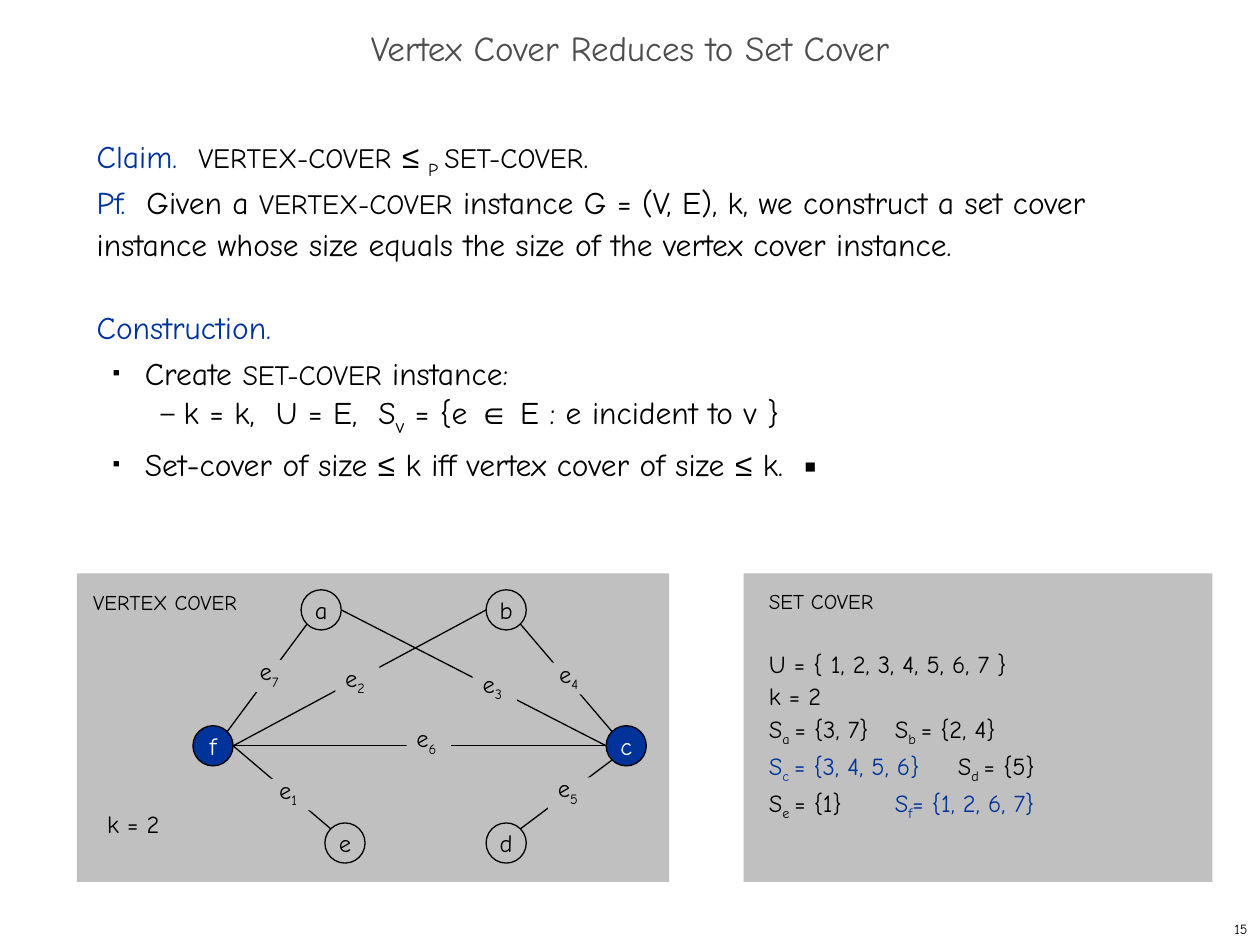
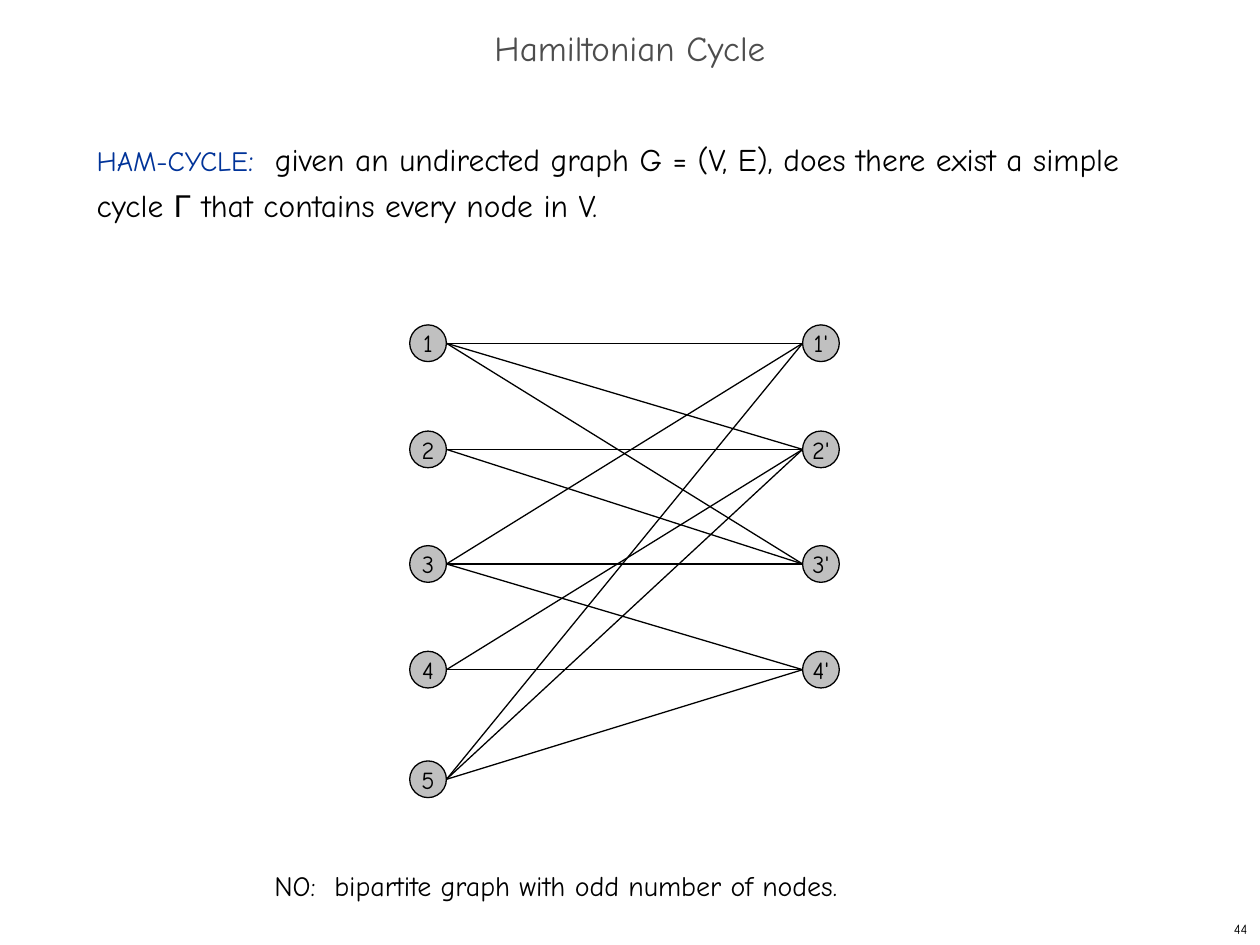
"""Two lecture slides on the set cover reduction and the Hamiltonian cycle problem."""
from lxml import etree
from pptx import Presentation
from pptx import util as u
from pptx.dml.color import RGBColor
from pptx.enum import shapes, text
from pptx.oxml import ns

BLUE = RGBColor(0x00, 0x33, 0x99)
BLACK = RGBColor(0x00, 0x00, 0x00)
WHITE = RGBColor(0xFF, 0xFF, 0xFF)
GRAY = RGBColor(0xC0, 0xC0, 0xC0)
TITLE_GRAY = RGBColor(0x4D, 0x4D, 0x4D)
FONT = "Comic Neue"

CAPS = {"size": 16}
SUB = {"sub": True}
MATH = {"font": "Arial"}
KEY = {"color": BLUE}
SQUARE = {"char": "■", "percent": 35, "level": 1, "margin": 0.97, "hang": 0.64}
DASH = {"char": "–", "percent": 80, "level": 2, "margin": 1.75, "hang": 0.46}


def write(shape, runs, size=18, color=BLACK, align=text.PP_ALIGN.LEFT,
          anchor=text.MSO_ANCHOR.TOP, wrap=True, inset=(0.25, 0.13, 0.25, 0.13),
          spacing=1.0, before=0, bullet=None, tab=None):
    """Append one paragraph of text, given as a string or as (text, format) runs."""
    frame = shape.text_frame
    frame.auto_size = text.MSO_AUTO_SIZE.NONE
    frame.word_wrap = wrap
    frame.vertical_anchor = anchor
    (frame.margin_left, frame.margin_top,
     frame.margin_right, frame.margin_bottom) = map(u.Cm, inset)
    paragraph = frame.add_paragraph() if frame.text else frame.paragraphs[0]
    props = paragraph._p.get_or_add_pPr()
    if bullet:
        paragraph.level = bullet["level"]
        props.set("marL", str(u.Cm(bullet["margin"])))
        props.set("indent", str(-u.Cm(bullet["hang"])))
        tint = etree.SubElement(props, ns.qn("a:buClr"))
        etree.SubElement(tint, ns.qn("a:srgbClr"), val=str(BLACK))
        etree.SubElement(props, ns.qn("a:buSzPct"), val=str(bullet["percent"] * 1000))
        etree.SubElement(props, ns.qn("a:buFont"), typeface="Arial")
        etree.SubElement(props, ns.qn("a:buChar"), char=bullet["char"])
    else:
        props.set("marL", "0")
        props.set("indent", "0")
        etree.SubElement(props, ns.qn("a:buNone"))
    if tab:
        stops = etree.SubElement(props, ns.qn("a:tabLst"))
        etree.SubElement(stops, ns.qn("a:tab"), pos=str(u.Cm(tab)), algn="l")
    paragraph.alignment = align
    paragraph.line_spacing = spacing
    paragraph.space_before = u.Pt(before)
    paragraph.space_after = u.Pt(0)
    for words, style in [(runs, {})] if isinstance(runs, str) else runs:
        run = paragraph.add_run()
        run.text = words
        run.font.name = style.get("font", FONT)
        run.font.size = u.Pt(style.get("size", size))
        run.font.color.rgb = style.get("color", color)
        if style.get("sub"):
            run._r.get_or_add_rPr().set("baseline", "-25000")


def draw(slide, preset, box, fill=GRAY, outlined=False):
    """Add a flat preset shape at a box given in centimetres."""
    shape = slide.shapes.add_shape(preset, *map(u.Cm, box))
    shape.shadow.inherit = False
    shape.fill.solid()
    shape.fill.fore_color.rgb = fill
    if outlined:
        shape.line.color.rgb = BLACK
        shape.line.width = u.Pt(0.75)
    else:
        shape.line.fill.background()
    return shape


RECT = shapes.MSO_SHAPE.RECTANGLE
OVAL = shapes.MSO_SHAPE.OVAL
CENTER = text.PP_ALIGN.CENTER
MIDDLE = text.MSO_ANCHOR.MIDDLE
EXACT = u.Pt(26)

prs = Presentation()
prs.slide_width, prs.slide_height = u.Cm(25.4), u.Cm(19.05)

reduction_body = [
    ([("Claim.  ", KEY), ("VERTEX-COVER", CAPS), (" ", {}), ("≤ ", MATH), ("P ", SUB),
      ("SET-COVER", CAPS), (".", {})], {"spacing": 1.1}),
    ([("Pf.  ", KEY), ("Given a ", {}), ("VERTEX-COVER", CAPS),
      (" instance G = (V, E), k, we construct a set cover instance whose size "
       "equals the size of the vertex cover instance.", {})], {"spacing": 1.1}),
    ([("Construction.", KEY)], {"spacing": 1.1, "before": 23.8}),
    ([("Create ", {}), ("SET-COVER", CAPS), (" instance:", {})],
     {"spacing": EXACT, "bullet": SQUARE}),
    ([("k = k,  U = E,  S", {}), ("v", {"size": 20, "sub": True}), (" = {e ", {}),
      ("∈", MATH), (" E : e incident to v }", {})], {"spacing": EXACT, "bullet": DASH}),
    ([("Set-cover of size ", {}), ("≤", MATH), (" k iff vertex cover of size ", {}),
      ("≤", MATH), (" k.  ▪", {})], {"spacing": EXACT, "bullet": SQUARE}),
]
cycle_body = [
    ([("HAM-CYCLE", {"size": 16, "color": BLUE}), (":  ", KEY),
      ("given an undirected graph G = (V, E), does there exist a simple cycle ", {}),
      ("Γ", MATH), (" that contains every node in V.", {})], {"spacing": EXACT}),
]

slides = []
for heading, body, number in [
    ("Vertex Cover Reduces to Set Cover", reduction_body, "15"),
    ("Hamiltonian Cycle", cycle_body, "44"),
]:
    slide = prs.slides.add_slide(prs.slide_layouts[1])
    slides.append(slide)
    title, content = slide.placeholders
    for holder, box in [(title, (0, 0.43, 25.4, 1.27)),
                        (content, (1.7, 2.54, 21.79, 15.04))]:
        holder.left, holder.top, holder.width, holder.height = map(u.Cm, box)
    write(title, heading, size=20, color=TITLE_GRAY, align=CENTER,
          anchor=MIDDLE, spacing=0.7)
    for runs, style in body:
        write(content, runs, **style)
    page = slide.shapes.add_textbox(u.Cm(20.12), u.Cm(18.42), u.Cm(5.28), u.Cm(0.63))
    write(page, number, size=8, align=text.PP_ALIGN.RIGHT, anchor=MIDDLE)
reduction, cycle = slides

draw(reduction, RECT, (1.55, 11.56, 11.94, 6.22))
set_cover = draw(reduction, RECT, (14.99, 11.56, 9.45, 6.22))
for runs, style in [
    ("SET COVER", {"size": 12}),
    ("U = { 1, 2, 3, 4, 5, 6, 7 }", {"before": 18.6}),
    ("k = 2", {}),
    ([("S", {}), ("a ", SUB), ("= {3, 7}\tS", {}), ("b ", SUB), ("= {2, 4}", {})], {}),
    ([("S", KEY), ("c ", KEY | SUB), ("= {3, 4, 5, 6}\t", KEY),
      ("S", {}), ("d ", SUB), ("= {5}", {})], {}),
    ([("S", {}), ("e ", SUB), ("= {1}\t", {}),
      ("S", KEY), ("f", KEY | SUB), ("= {1, 2, 6, 7}", KEY)], {}),
]:
    write(set_cover, runs, **({"size": 14, "spacing": 1.1, "tab": 5.08,
                               "inset": (0.51, 0.25, 0.25, 0.25)} | style))

vertices = {"a": (6.07, 11.89), "b": (9.8, 11.89), "c": (12.22, 14.63),
            "d": (9.8, 16.59), "e": (6.55, 16.59), "f": (3.89, 14.63)}
vertex_size = 0.81
cover = "cf"
for name, (x, y) in vertices.items():
    vertex = draw(reduction, OVAL, (x, y, vertex_size, vertex_size),
                  fill=BLUE if name in cover else GRAY, outlined=True)
    write(vertex, name, size=14, color=WHITE if name in cover else BLACK,
          align=CENTER, anchor=MIDDLE, wrap=False)

rows = [6.55, 8.69, 11, 13.13, 15.34]
left_x, right_x, node_size = 8.26, 16.18, 0.74
for x, names in [(left_x, ["1", "2", "3", "4", "5"]), (right_x, ["1'", "2'", "3'", "4'"])]:
    for name, y in zip(names, rows):
        node = draw(cycle, OVAL, (x, y, node_size, node_size), outlined=True)
        write(node, name, size=14, align=CENTER, anchor=MIDDLE, wrap=False)

sites = {"E": (1, 0.5), "W": (0, 0.5), "NE": (0.85, 0.15), "NW": (0.15, 0.15),
         "SE": (0.85, 0.85), "SW": (0.15, 0.85)}
edges = []
for ends in ["f E e NW", "f E b W", "a E c W", "b SE c NW", "c SW d NE", "f E c W",
             "f NE a SW"]:
    start, start_site, end, end_site = ends.split()
    edges.append((reduction, [place + vertex_size * part
                              for name, site in [(start, start_site), (end, end_site)]
                              for place, part in zip(vertices[name], sites[site])]))
neighbours = {1: [1, 2, 3], 2: [2, 3], 3: [1, 3, 4], 4: [2, 4], 5: [1, 2, 4]}
for left, partners in neighbours.items():
    for right in partners:
        edges.append((cycle, [left_x + node_size, rows[left - 1] + node_size / 2,
                              right_x, rows[right - 1] + node_size / 2]))
for slide, ends in edges:
    edge = slide.shapes.add_connector(shapes.MSO_CONNECTOR.STRAIGHT, *map(u.Cm, ends))
    edge.line.color.rgb = BLACK
    edge.line.width = u.Pt(0.75)
    etree.SubElement(edge._element.spPr, ns.qn("a:effectLst"))

edge_labels = [(5.41, 15.7), (6.76, 13.44), (9.53, 13.56), (11.07, 13.36),
               (11.05, 15.67), (8.2, 14.66), (5.03, 13.31)]
for index, (x, y) in enumerate(edge_labels, 1):
    label = draw(reduction, RECT, (x, y, 0.89, 0.64))
    write(label, [("e", {}), (f"{index} ", SUB)], size=14, align=CENTER, anchor=MIDDLE,
          wrap=False, inset=(0.25, 0.13, 0.25, 0.25))

for slide, words, box, size in [
    (reduction, "VERTEX COVER", (1.63, 11.76, 4.65, 0.76), 12),
    (reduction, "k = 2", (1.91, 16.18, 3.38, 0.86), 14),
    (cycle, "NO:  bipartite graph with odd number of nodes.", (5.28, 17.37, 15.04, 0.94), 16),
]:
    caption = slide.shapes.add_textbox(*map(u.Cm, box))
    write(caption, words, size=size)

prs.save("out.pptx")
